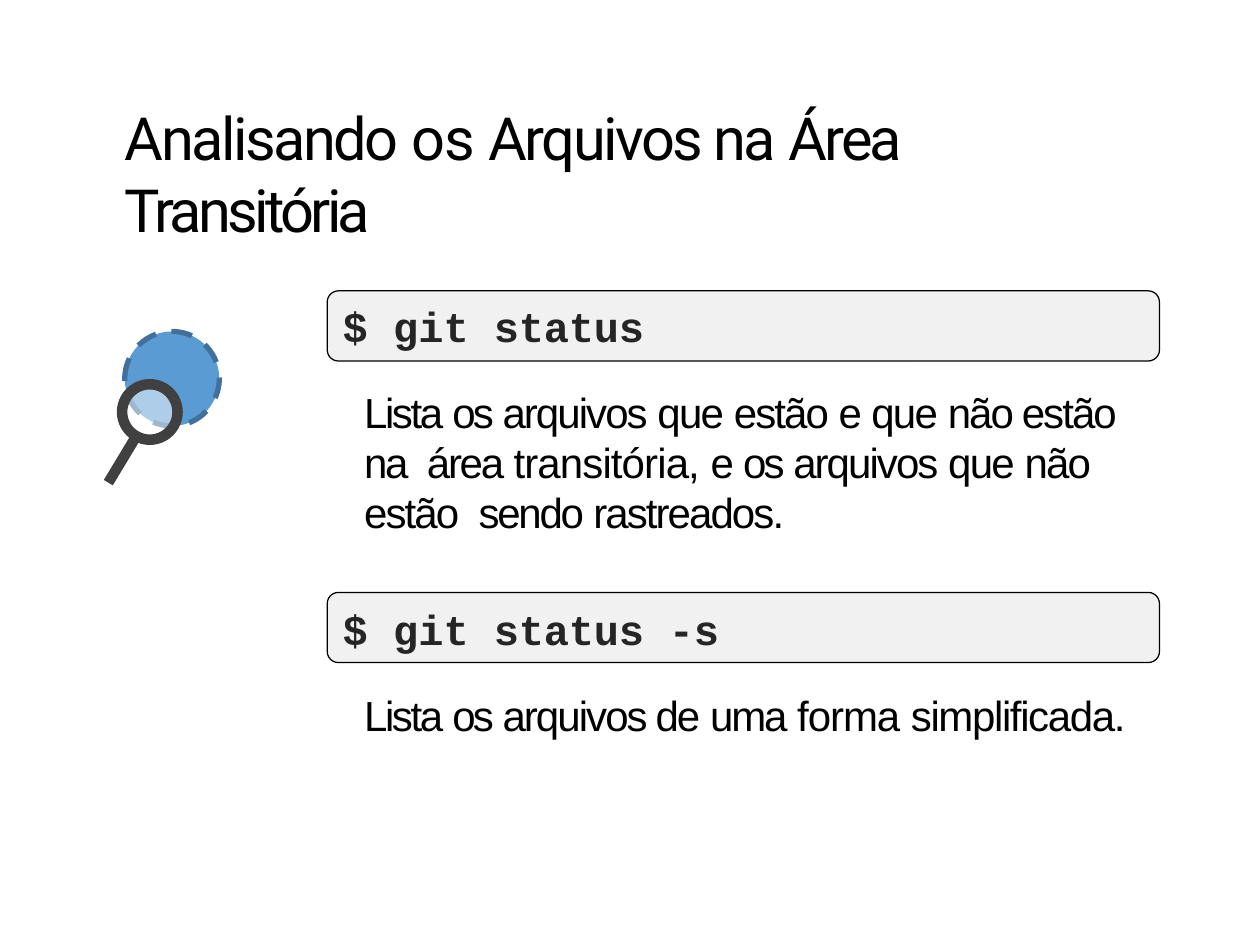
import pptx
import pptx.util
import pptx.dml.color
import pptx.enum.dml
import pptx.enum.shapes
import pptx.enum.text
import pptx.oxml.ns
import lxml.etree

Pt = pptx.util.Pt
SHAPE = pptx.enum.shapes.MSO_SHAPE


def rgb(value):
    return pptx.dml.color.RGBColor.from_string(value)


def add_runs(p, runs, color, **fmt):
    for text, spacing in runs:
        r = p.add_run()
        r.text = text
        for name, value in fmt.items():
            setattr(r.font, name, value)
        r.font.color.rgb = rgb(color)
        r._r.get_or_add_rPr().set("spc", str(round(spacing * 100)))


prs = pptx.Presentation()
prs.slide_width, prs.slide_height = Pt(720), Pt(540)
slide = prs.slides.add_slide(prs.slide_layouts[5])
frame = {
    "margin_left": 0, "margin_right": 0, "margin_bottom": 0, "word_wrap": True,
    "auto_size": pptx.enum.text.MSO_AUTO_SIZE.NONE,
    "vertical_anchor": pptx.enum.text.MSO_ANCHOR.TOP,
}

title = slide.shapes.title
title.left, title.top, title.width, title.height = Pt(70.6), Pt(55.4), Pt(579.6), Pt(85)
tf = title.text_frame
for name, value in {**frame, "margin_top": Pt(2.2)}.items():
    setattr(tf, name, value)
p = tf.paragraphs[0]
p.alignment = pptx.enum.text.PP_ALIGN.LEFT
p.line_spacing = Pt(41)
p._p.get_or_add_pPr().set("marL", str(Pt(0.7)))
add_runs(p, [("Analisando ", -1.4), ("os ", -0.6), ("Arquivos na ", -1.4),
             ("Área ", -1.7), ("Transitória", -2.1)],
         "000000", name="Roboto", size=Pt(34))

for top in (166.2, 338.5):
    sp = slide.shapes.add_shape(SHAPE.ROUNDED_RECTANGLE, Pt(187), Pt(top), Pt(475.6), Pt(40.1))
    sp.adjustments[0] = 0.16
    sp.shadow.inherit = False
    sp.fill.solid()
    sp.fill.fore_color.rgb = rgb("F1F1F1")
    sp.line.color.rgb = rgb("000000")
    sp.line.width = Pt(0.72)

command = {"color": "252525", "name": "Courier New", "bold": True}
body = {"color": "000000", "name": "Arial", "bold": False}
paragraphs = [
    (0, 0.7, command, [("$ git ", 0), ("status", -0.1)]),
    (20.7, 13, body, [
        ("Lista ", -1.4), ("os ", -1.7), ("arquivos ", -1.1), ("que ", -1),
        ("estão ", -1.1), ("e ", -1.4), ("que ", -1), ("não estão ", -1.1),
        ("na  ", -1.4), ("área ", -1.3), ("transitória, ", -0.5), ("e ", -1.4),
        ("os ", -1.7), ("arquivos ", -1.1), ("que ", -1), ("não estão  ", -1.1),
        ("sendo ", -1.3), ("rastreados.", -1.1)]),
    (38.1, 0.7, command, [("$ git ", 0), ("status -s", -0.1)]),
    (20.7, 13, body, [
        ("Lista ", -1.4), ("os ", -1.7), ("arquivos de ", -1.1), ("uma ", -1.2),
        ("forma ", -0.6), ("simplificada.", -0.8)]),
]
tf = slide.shapes.add_textbox(Pt(195.1), Pt(167.8), Pt(464.4), Pt(254.9)).text_frame
for name, value in {**frame, "margin_top": Pt(4)}.items():
    setattr(tf, name, value)
for i, (before, indent, style, runs) in enumerate(paragraphs):
    p = tf.add_paragraph() if i else tf.paragraphs[0]
    p.space_before = Pt(before)
    p.line_spacing = Pt(28.6)
    p._p.get_or_add_pPr().set("marL", str(Pt(indent)))
    add_runs(p, runs, size=Pt(24), **style)

circles = [
    (71.3, 189.4, 54, "5B9BD4", "41709C", 3, pptx.enum.dml.MSO_LINE.DASH),
    (69.8, 219.6, 31.7, "FFFFFF", "404040", 6, None),
]
for left, top, size, fill, line, width, dash in circles:
    sp = slide.shapes.add_shape(SHAPE.OVAL, Pt(left), Pt(top), Pt(size), Pt(size))
    sp.shadow.inherit = False
    sp.fill.solid()
    sp.fill.fore_color.rgb = rgb(fill)
    sp.line.color.rgb = rgb(line)
    sp.line.width = Pt(width)
    sp.line.dash_style = dash
lens = sp
color = lens._element.spPr.find(pptx.oxml.ns.qn("a:solidFill"))[0]
lxml.etree.SubElement(color, pptx.oxml.ns.qn("a:alpha"), val="50000")

handle = slide.shapes.add_connector(
    pptx.enum.shapes.MSO_CONNECTOR.STRAIGHT, Pt(78), Pt(249.1), Pt(61.9), Pt(275.8))
handle.line.color.rgb = rgb("404040")
handle.line.width = Pt(6)
lxml.etree.SubElement(handle._element.spPr, pptx.oxml.ns.qn("a:effectLst"))

prs.save("out.pptx")
